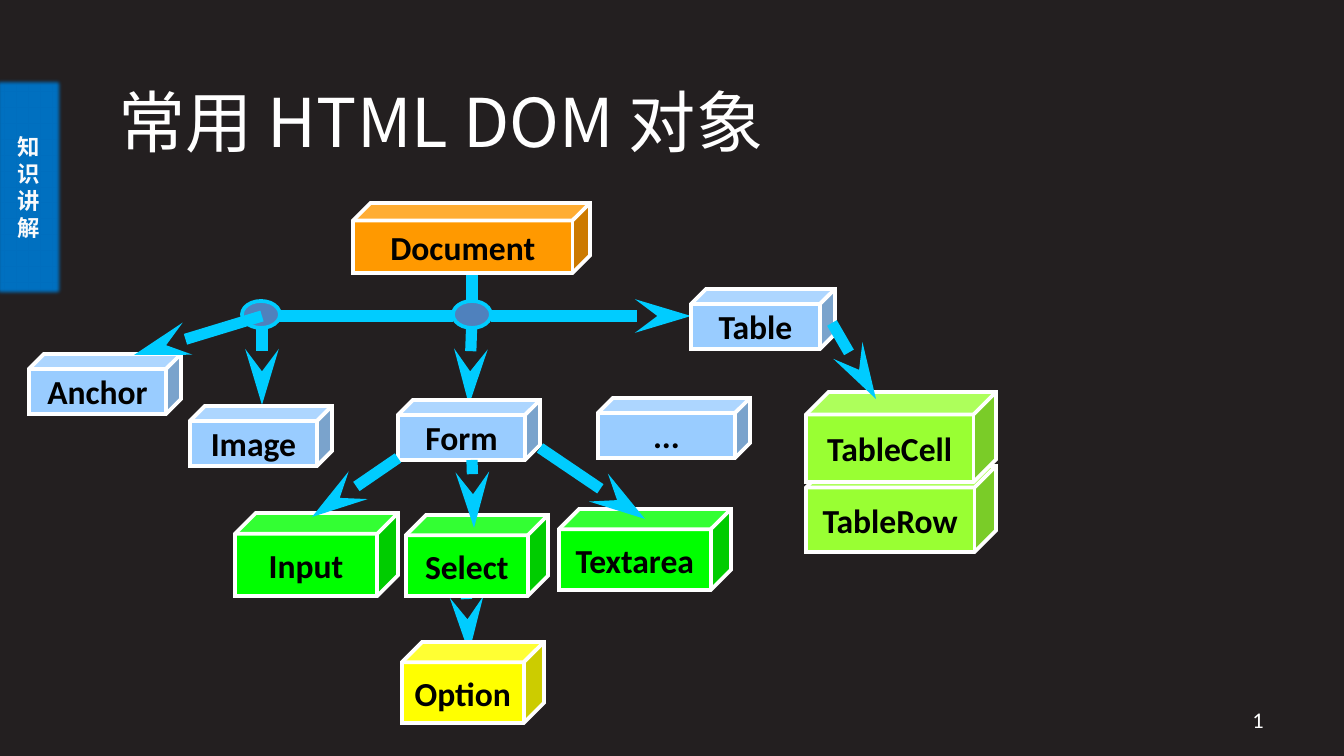
from typing import NamedTuple

from lxml.etree import SubElement
from pptx import Presentation
from pptx.dml.color import RGBColor
from pptx.enum.shapes import MSO_CONNECTOR, MSO_SHAPE
from pptx.enum.text import MSO_ANCHOR, PP_ALIGN
from pptx.oxml.ns import qn
from pptx.util import Emu, Pt

PIXEL = 914400 / 134.4
HAN_FONT, LATIN_FONT = "Noto Sans CJK SC", "Calibri"
WHITE, CYAN, BLUE, DOT_BLUE = "FFFFFF", "00CCFF", "0070C0", "4F81BD"
ORANGE, SKY, LIME, GREEN, YELLOW = "FF9900", "99CCFF", "99FF33", "00FF00", "FFFF00"


class Node(NamedTuple):
    """A cube of the object tree, in pixels."""
    label: str
    left: int
    top: int
    width: int
    height: int
    color: str


class Link(NamedTuple):
    """A line between two points, in pixels."""
    x1: int
    y1: int
    x2: int
    y2: int
    arrow: bool = True


OPTION_LINK = Link(466, 585, 469, 653)
TRUNK_LINKS = [
    Link(491, 316, 691, 316),
    Link(472, 254, 472, 308, arrow=False),
    Link(262, 316, 262, 405),
    Link(472, 316, 469, 405),
    Link(453, 316, 262, 316, arrow=False),
]
BRANCH_LINKS = [
    Link(832, 323, 876, 399),
    Link(540, 448, 645, 519),
    Link(398, 458, 312, 517),
    Link(472, 460, 474, 528),
    Link(262, 316, 134, 355),
]
JUNCTION_LEFTS = [453, 242]
NODES = [
    Node("Document", 353, 203, 237, 70, ORANGE),
    Node("Form", 398, 400, 142, 60, SKY),
    Node("Table", 691, 289, 144, 60, SKY),
    Node("Anchor", 29, 354, 152, 60, SKY),
    Node("Image", 190, 406, 142, 60, SKY),
    Node("TableRow", 806, 466, 190, 86, LIME),
    Node("TableCell", 806, 392, 190, 90, LIME),
    Node("Input", 235, 513, 163, 83, GREEN),
    Node("Select", 406, 515, 142, 81, GREEN),
    Node("Textarea", 559, 509, 172, 81, GREEN),
    Node("...", 598, 398, 152, 60, SKY),
    Node("Option", 402, 642, 142, 81, YELLOW),
]


def px(pixels: int) -> Emu:
    """Turn pixels into EMU."""
    return Emu(round(pixels * PIXEL))


def paint(color_format, color: str) -> None:
    """Set a fill, line fill or font colour from a hex string."""
    if hasattr(color_format, "solid"):
        color_format.solid()
        color_format = color_format.fore_color
    color_format.rgb = RGBColor.from_string(color)


def write(shape, text: str, *, size: int, color: str, font: str = LATIN_FONT,
          bold: bool = False, align=PP_ALIGN.CENTER, wrap: bool = True) -> None:
    """Put formatted text in a shape, one paragraph per line."""
    frame = shape.text_frame
    frame.text = text
    frame.word_wrap = wrap
    frame.vertical_anchor = MSO_ANCHOR.MIDDLE
    for paragraph in frame.paragraphs:
        paragraph.alignment = align
        for run in paragraph.runs:
            run.font.size, run.font.bold, run.font.name = Pt(size), bold, font
            paint(run.font.color, color)
            SubElement(run.font._element, qn("a:ea"), typeface=font)


def add_figure(slide, kind, left: int, top: int, width: int, height: int,
               fill: str, line: str, weight: float = 2):
    """Add a preset shape with sharp corners and no shadow."""
    figure = slide.shapes.add_shape(kind, px(left), px(top), px(width), px(height))
    figure.shadow.inherit = False
    paint(figure.fill, fill)
    paint(figure.line.fill, line)
    figure.line.width = Pt(weight)
    SubElement(figure.line._get_or_add_ln(), qn("a:miter"), lim="800000")
    return figure


def add_link(slide, link: Link) -> None:
    """Draw one line of the tree, with a long stealth head if it is an arrow."""
    connector = slide.shapes.add_connector(
        MSO_CONNECTOR.STRAIGHT, px(link.x1), px(link.y1), px(link.x2), px(link.y2))
    paint(connector.line.fill, CYAN)
    connector.line.width = Pt(6)
    if link.arrow:
        SubElement(connector.line._get_or_add_ln(), qn("a:tailEnd"),
                   type="stealth", len="lg")
    SubElement(connector._element.spPr, qn("a:effectLst"))


def add_node(slide, node: Node) -> None:
    """Draw one labelled cube."""
    cube = add_figure(slide, MSO_SHAPE.CUBE, *node[1:5], fill=node.color, line=WHITE)
    write(cube, node.label, size=18, color="000000", bold=True, wrap=False)


def add_frame(slide) -> None:
    """Draw the side tab, the title and the page number."""
    tab = add_figure(slide, MSO_SHAPE.RECTANGLE, -7, 77, 71, 220, BLUE, BLUE, 0.75)
    effects = tab._element.spPr.find(qn("a:effectLst"))
    SubElement(effects, qn("a:softEdge"), rad="31750")
    write(tab, "知\n识\n讲\n解", size=12, color="F9FAFB", font=HAN_FONT, bold=True)

    title = slide.shapes.title
    title.left, title.top, title.width, title.height = px(105), px(63), px(829), px(116)
    write(title, "常用 HTML DOM 对象", size=36, color=WHITE, font=HAN_FONT,
          align=PP_ALIGN.LEFT)

    page_number = slide.shapes.add_textbox(px(964), px(700), px(313), px(40))
    write(page_number, "1", size=12, color=WHITE, align=PP_ALIGN.RIGHT)


def build() -> None:
    """Build and save the slide."""
    deck = Presentation()
    deck.slide_width, deck.slide_height = px(1344), px(756)
    slide = deck.slides.add_slide(deck.slide_layouts[5])
    paint(slide.background.fill, "231F20")
    add_frame(slide)
    for link in [OPTION_LINK, *TRUNK_LINKS]:
        add_link(slide, link)
    for left in JUNCTION_LEFTS:
        add_figure(slide, MSO_SHAPE.OVAL, left, 301, 38, 27, DOT_BLUE, CYAN)
    for node in NODES:
        add_node(slide, node)
    for link in BRANCH_LINKS:
        add_link(slide, link)
    deck.save("out.pptx")


build()
